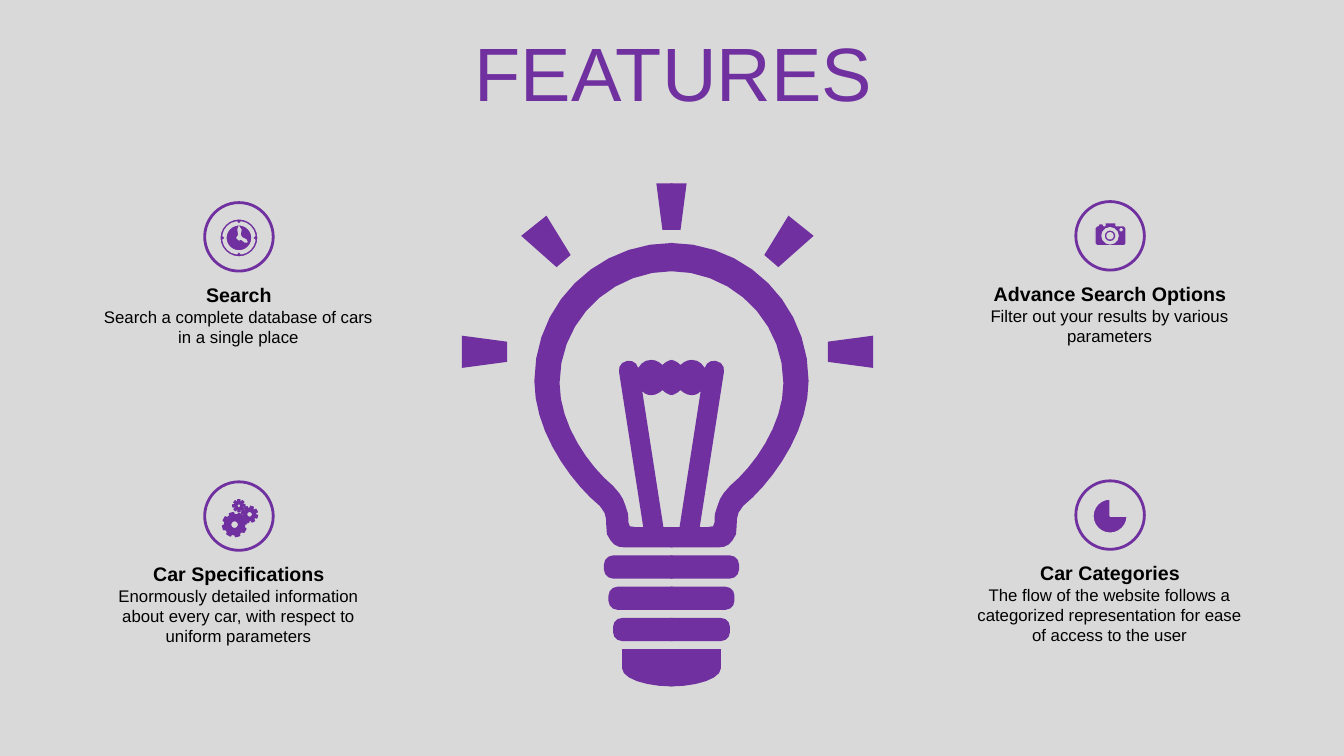
from dataclasses import dataclass
from math import ceil, cos, dist, radians, sin, sqrt

from pptx import Presentation
from pptx.dml.color import RGBColor
from pptx.enum.shapes import MSO_SHAPE
from pptx.enum.text import MSO_ANCHOR, MSO_AUTO_SIZE, PP_ALIGN
from pptx.util import Inches, Pt

OVAL = MSO_SHAPE.OVAL
PIE = MSO_SHAPE.PIE
CENTER = PP_ALIGN.CENTER
TOP = MSO_ANCHOR.TOP
MIDDLE = MSO_ANCHOR.MIDDLE
GROW = MSO_AUTO_SIZE.SHAPE_TO_FIT_TEXT
FIXED = MSO_AUTO_SIZE.NONE


@dataclass(frozen=True)
class Theme:
    font: str = "Arial"
    background: RGBColor = RGBColor(0xD9, 0xD9, 0xD9)
    accent: RGBColor = RGBColor(0x70, 0x30, 0xA0)
    ink: RGBColor = RGBColor(0, 0, 0)
    title_size: int = 54
    heading_size: int = 14
    body_size: int = 12


THEME = Theme()
BADGE_SIZE = 0.68
BULB_AXIS = 6.66
RAY_AXIS = 6.62
CURVE_DETAIL = 7

BULB_HALF = """
M 6.67 6.44 L 6.17 6.44 L 6.17 6.63 C 6.17 6.73 6.4 6.81 6.67 6.81 Z
M 6.51 1.82 L 6.67 1.82 L 6.67 2.28 L 6.57 2.28 Z
M 6.67 2.41 L 6.67 2.69 C 6.05 2.69 5.55 3.19 5.55 3.8
C 5.55 4.22 5.85 4.63 6.08 4.82 C 6.19 4.94 6.18 4.95 6.23 5.1
C 6.24 5.21 6.21 5.23 6.31 5.23 L 6.38 5.23 L 6.14 3.69
C 6.13 3.64 6.16 3.59 6.22 3.58 C 6.27 3.57 6.32 3.6 6.33 3.65
C 6.36 3.6 6.4 3.57 6.46 3.57 C 6.5 3.57 6.54 3.59 6.57 3.62
C 6.6 3.59 6.64 3.57 6.67 3.57 L 6.67 3.92
C 6.64 3.92 6.6 3.9 6.57 3.87 C 6.54 3.9 6.5 3.92 6.46 3.92
C 6.43 3.92 6.39 3.91 6.37 3.88 L 6.58 5.23 L 6.67 5.23 L 6.67 5.43
L 6.19 5.43 C 6.11 5.43 6.07 5.4 6.02 5.3 C 6 5.17 6.04 5.12 5.95 5.02
C 5.67 4.79 5.3 4.29 5.3 3.78 C 5.3 3.02 5.91 2.41 6.67 2.41 Z
"""
SIDE_RAYS = """
M 4.58 3.33 L 5.03 3.39 L 5.03 3.59 L 4.58 3.65 Z
M 5.42 2.14 L 5.66 2.53 L 5.52 2.65 L 5.17 2.34 Z
"""
CAMERA_BODY = """
M 10.96 2.21 L 11.07 2.21 L 11.07 2.24 L 11.15 2.24 L 11.17 2.26
L 11.17 2.42 L 11.15 2.44 L 10.88 2.44 L 10.86 2.42 L 10.86 2.26
L 10.88 2.24 L 10.89 2.24 L 10.9 2.22 L 10.94 2.22 L 10.95 2.24 L 10.96 2.24 Z
"""
CLOCK_HANDS = """
M 2.37 2.25 L 2.36 2.28 L 2.37 2.33 L 2.35 2.36 L 2.37 2.38 L 2.39 2.37
L 2.43 2.4 L 2.45 2.4 L 2.44 2.38 L 2.4 2.36 L 2.38 2.33 L 2.39 2.28 Z
"""

FEATURES = (
    (0.92, 2.01, "Search", "Search a complete database of cars in a single place", 0.5),
    (0.92, 4.78, "Car Specifications",
     "Enormously detailed information about every car, with respect to uniform parameters", 0.71),
    (9.56, 2, "Advance Search Options", "Filter out your results by various parameters", 0.5),
    (9.56, 4.77, "Car Categories",
     "The flow of the website follows a categorized representation for ease of access to the user", 0.71),
)


def bezier(points):
    steps = ceil(CURVE_DETAIL * sqrt(dist(points[0], points[-1])))
    for step in range(1, steps + 1):
        t = step / steps
        weights = ((1 - t) ** 3, 3 * t * (1 - t) ** 2, 3 * t * t * (1 - t), t ** 3)
        yield tuple(sum(w * point[axis] for w, point in zip(weights, points)) for axis in (0, 1))


def contours(outline):
    result = []
    tokens = iter(outline.split())
    for command in tokens:
        if command == "Z":
            continue
        count = 3 if command == "C" else 1
        points = [(float(next(tokens)), float(next(tokens))) for _ in range(count)]
        if command == "M":
            result.append(points)
        elif command == "L":
            result[-1] += points
        else:
            result[-1] += bezier([result[-1][-1], *points])
    return result


def polar(center, radius, angle):
    return center[0] + radius * cos(radians(angle)), center[1] + radius * sin(radians(angle))


def circle(center, radius):
    count = 24 if radius > 0.1 else 12
    return [polar(center, radius, 360 * index / count) for index in range(count)]


def cog(center, tip, root, teeth=8, share=0.45, turn=0, samples=2):
    points = []
    pitch = 360 / teeth
    valley = share / 2 + 0.06
    for tooth in range(teeth):
        for step in range(samples):
            place = tooth - share / 2 + share * step / (samples - 1)
            points.append(polar(center, tip, turn + pitch * place))
        for place in (tooth + valley, tooth + 1 - valley):
            points.append(polar(center, root, turn + pitch * place))
    return points


def mirror(shapes, axis):
    return [[(2 * axis - x, y) for x, y in points] for points in shapes]


def band(left, right, top, bottom, radius=0.09):
    arc = radius * 0.45
    return contours(
        f"M {right} {top} L {left + radius} {top} "
        f"C {left + arc} {top} {left} {top + arc} {left} {top + radius} L {left} {bottom - radius} "
        f"C {left} {bottom - arc} {left + arc} {bottom} {left + radius} {bottom} L {right} {bottom} Z")


def paint(shape, fill=None, line=None, width=1):
    shape.shadow.inherit = False
    if fill is None:
        shape.fill.background()
    else:
        shape.fill.solid()
        shape.fill.fore_color.rgb = fill
    if line is None:
        shape.line.fill.background()
    else:
        shape.line.color.rgb = line
        shape.line.width = Pt(width)


def add_preset(slide, kind, left, top, size, **style):
    shape = slide.shapes.add_shape(kind, Inches(left), Inches(top), Inches(size), Inches(size))
    paint(shape, **style)


def add_outline(slide, shapes, line=None):
    scaled = [[(Inches(x), Inches(y)) for x, y in points] for points in shapes]
    builder = slide.shapes.build_freeform(*scaled[0][0], scale=1.0)
    for index, points in enumerate(scaled):
        if index:
            builder.move_to(*points[0])
        builder.add_line_segments(points[1:], close=True)
    shape = builder.convert_to_shape()
    paint(shape, fill=THEME.accent, line=line)
    return shape


def add_text(slide, text, left, top, width, height, *, size, color=THEME.ink,
             bold=False, anchor=TOP, fit=GROW, spacing=1.0):
    box = slide.shapes.add_textbox(Inches(left), Inches(top), Inches(width), Inches(height))
    frame = box.text_frame
    frame.word_wrap = True
    frame.auto_size = fit
    frame.vertical_anchor = anchor
    paragraph = frame.paragraphs[0]
    paragraph.alignment = CENTER
    paragraph.line_spacing = spacing
    run = paragraph.add_run()
    run.text = text
    run.font.name = THEME.font
    run.font.size = Pt(size)
    run.font.bold = bold
    run.font.color.rgb = color


def add_feature(slide, left, top, heading, body, body_height):
    add_text(slide, heading, left, top + 0.74, 2.9, 0.34,
             size=THEME.heading_size, bold=True, anchor=MIDDLE)
    add_text(slide, body, left, top + 0.98, 2.89, body_height, size=THEME.body_size)
    add_preset(slide, OVAL, left + 1.11, top, BADGE_SIZE, line=THEME.accent, width=2)


def add_icons(slide):
    lens = [circle((11.01, 2.34), radius) for radius in (0.08, 0.06, 0.03)]
    flash = [circle((11.12, 2.28), 0.01)]
    add_outline(slide, contours(CAMERA_BODY) + lens + flash, line=THEME.background)

    dial = (2.37, 2.36)
    clock = [circle(dial, 0.19), cog(dial, 0.16, 0.14, 4, 0.82, 45, 5), circle(dial, 0.13)]
    add_outline(slide, clock + contours(CLOCK_HANDS), line=THEME.background)

    gears = []
    for center, tip, root, hole, turn in (
        ((2.31, 5.19), 0.12, 0.1, 0.04, 0),
        ((2.48, 5.13), 0.08, 0.06, 0.03, -13),
        ((2.4, 5.02), 0.06, 0.04, 0.02, 14),
    ):
        gears += [cog(center, tip, root, turn=turn), circle(center, hole)]
    add_outline(slide, gears, line=THEME.accent).rotation = 345

    add_preset(slide, PIE, 10.84, 4.95, 0.34, fill=THEME.accent, line=THEME.background)


def add_bulb(slide):
    half = contours(BULB_HALF)
    for index in range(3):
        top = 5.51 + 0.31 * index
        half += band(5.99 + 0.045 * index, 6.67, top, top + 0.23)
    rays = contours(SIDE_RAYS)
    add_outline(slide, half + rays)
    add_outline(slide, mirror(half, BULB_AXIS) + mirror(rays, RAY_AXIS))


def main():
    presentation = Presentation()
    presentation.slide_width = Inches(13.33)
    presentation.slide_height = Inches(7.5)
    slide = presentation.slides.add_slide(presentation.slide_layouts[6])
    slide.background.fill.solid()
    slide.background.fill.fore_color.rgb = THEME.background
    add_text(slide, "FEATURES", 0.35, 0.37, 12.66, 0.79, size=THEME.title_size,
             color=THEME.accent, anchor=MIDDLE, fit=FIXED, spacing=0.9)
    for feature in FEATURES:
        add_feature(slide, *feature)
    add_icons(slide)
    add_bulb(slide)
    presentation.save("out.pptx")


if __name__ == "__main__":
    main()
